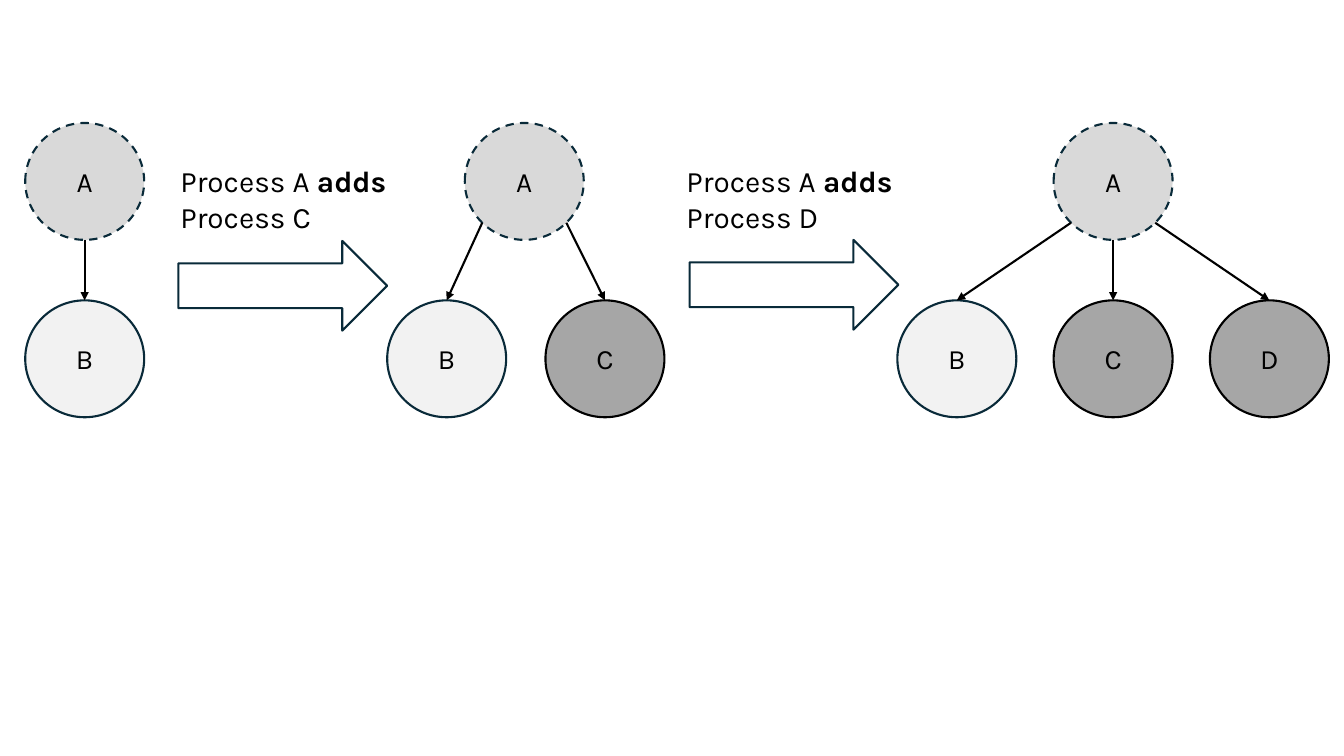
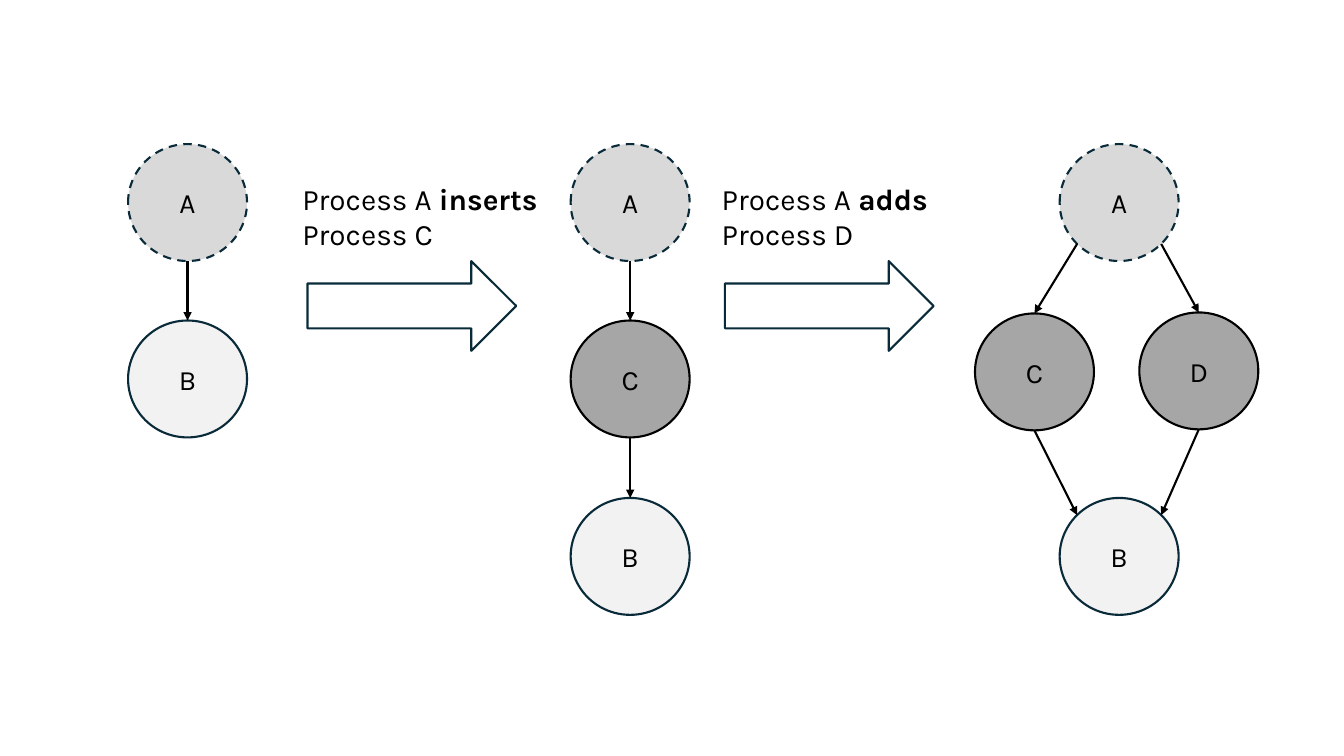
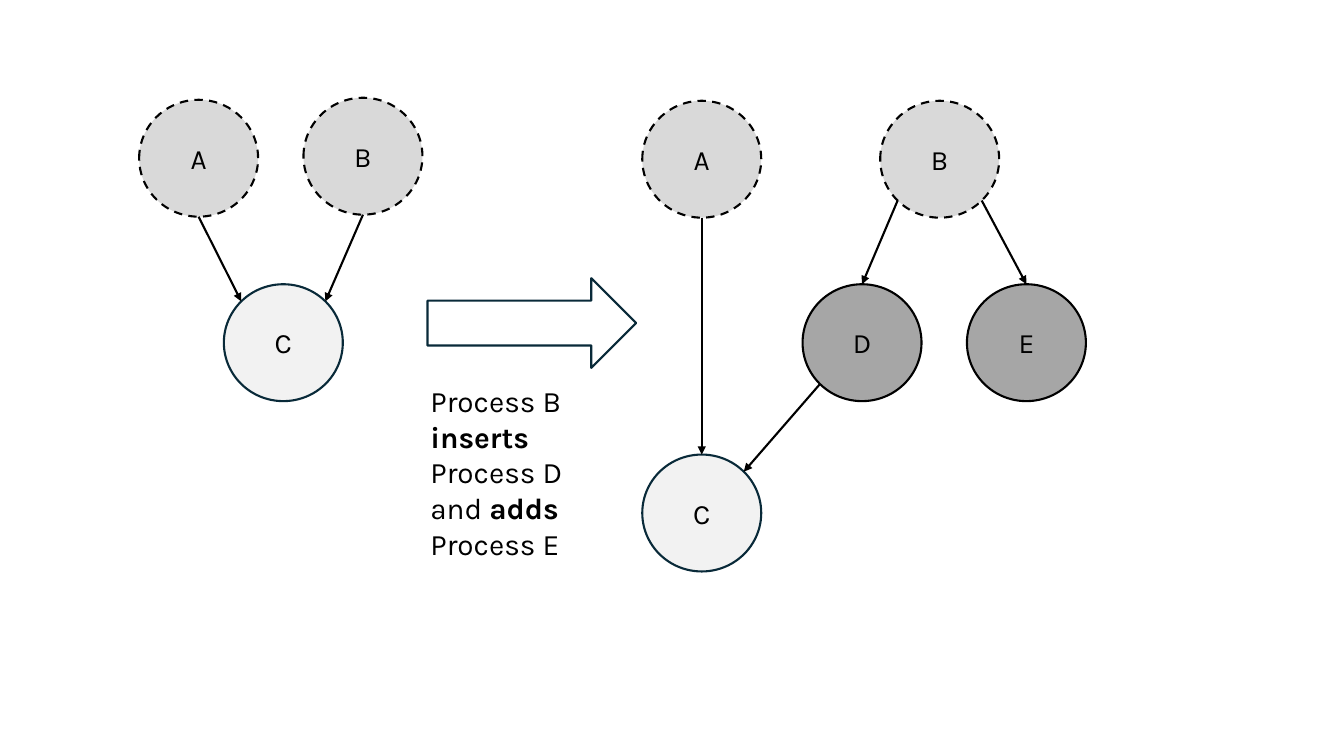
import math

import lxml.etree
import pptx
import pptx.dml.color
import pptx.enum.dml
import pptx.enum.shapes
import pptx.enum.text
import pptx.oxml.ns
import pptx.util

Inches = pptx.util.Inches
Pt = pptx.util.Pt

FONT = "Karla"
BLACK = "000000"
NAVY = "092A39"
CIRCLE_WIDTH, CIRCLE_HEIGHT = 1.18, 1.16
ARROW_WIDTH, ARROW_HEIGHT = 2.07, 0.89
LINE_WIDTH = 1.5

CIRCLE_STYLES = {
    "modifier": ("D9D9D9", NAVY, True),
    "modifier black": ("D9D9D9", BLACK, True),
    "existing": ("F2F2F2", NAVY, False),
    "added": ("A6A6A6", BLACK, False),
}

SITES = ["top", "top left", "left", "bottom left",
         "bottom", "bottom right", "right", "top right"]

SLIDES = [
    {
        "circles": {
            "A1": ("modifier", 0.25, 1.22),
            "B1": ("existing", 0.25, 2.98),
            "A2": ("modifier", 4.61, 1.22),
            "B2": ("existing", 3.84, 2.98),
            "C2": ("added", 5.41, 2.98),
            "A3": ("modifier", 10.45, 1.22),
            "B3": ("existing", 8.9, 2.98),
            "C3": ("added", 10.45, 2.98),
            "D3": ("added", 12, 2.98),
        },
        "links": [
            ("A1", "bottom", "B1", "top"),
            ("A2", "bottom left", "B2", "top"),
            ("A2", "bottom right", "C2", "top"),
            ("A3", "bottom left", "B3", "top"),
            ("A3", "bottom", "C3", "top"),
            ("A3", "bottom right", "D3", "top"),
        ],
        "arrows": [(1.77, 2.39), (6.84, 2.38)],
        "captions": [
            ((1.69, 1.57, 3.21, 0.81), [["Process A ", "*adds"], ["Process C"]]),
            ((6.71, 1.57, 3.21, 0.81), [["Process A ", "*adds"], ["Process D"]]),
        ],
    },
    {
        "circles": {
            "A1": ("modifier", 1.27, 1.43),
            "B1": ("existing", 1.27, 3.18),
            "A2": ("modifier", 5.66, 1.43),
            "C2": ("added", 5.66, 3.18),
            "B2": ("existing", 5.66, 4.94),
            "A3": ("modifier", 10.51, 1.43),
            "C3": ("added", 9.67, 3.11),
            "D3": ("added", 11.3, 3.1),
            "B3": ("existing", 10.51, 4.94),
        },
        "links": [
            ("A1", "bottom", "B1", "top"),
            ("A2", "bottom", "C2", "top"),
            ("C2", "bottom", "B2", "top"),
            ("A3", "bottom left", "C3", "top"),
            ("A3", "bottom right", "D3", "top"),
            ("C3", "bottom", "B3", "top left"),
            ("D3", "bottom", "B3", "top right"),
        ],
        "arrows": [(3.05, 2.59), (7.19, 2.59)],
        "captions": [
            ((2.9, 1.74, 3.21, 0.81), [["Process A ", "*inserts"], ["Process C"]]),
            ((7.06, 1.74, 3.21, 0.81), [["Process A ", "*adds"], ["Process D"]]),
        ],
    },
    {
        "circles": {
            "A1": ("modifier black", 1.38, 0.99),
            "B1": ("modifier black", 3.01, 0.97),
            "C1": ("existing", 2.22, 2.82),
            "A2": ("modifier black", 6.37, 1),
            "B2": ("modifier black", 8.73, 1),
            "D2": ("added", 7.96, 2.82),
            "E2": ("added", 9.59, 2.82),
            "C2": ("existing", 6.37, 4.51),
        },
        "links": [
            ("A1", "bottom", "C1", "top left"),
            ("B1", "bottom", "C1", "top right"),
            ("A2", "bottom", "C2", "top"),
            ("B2", "bottom left", "D2", "top"),
            ("B2", "bottom right", "E2", "top"),
            ("D2", "bottom left", "C2", "top right"),
        ],
        "arrows": [(4.24, 2.76)],
        "captions": [
            ((4.17, 3.75, 2.14, 1.88),
             [["Process B ", "*inserts"], ["Process D"],
              ["and ", "*adds"], ["Process E"]]),
        ],
    },
]


def color(value):
    return pptx.dml.color.RGBColor.from_string(value)


def set_line(line, value):
    line.color.rgb = color(value)
    line.width = Pt(LINE_WIDTH)


def set_font(font, size, bold=False):
    font.name = FONT
    font.size = Pt(size)
    font.bold = bold
    font.color.rgb = color(BLACK)


def add_outlined_shape(slide, kind, left, top, width, height, outline):
    shape = slide.shapes.add_shape(
        kind, Inches(left), Inches(top), Inches(width), Inches(height))
    shape.shadow.inherit = False
    set_line(shape.line, outline)
    return shape


def add_circle(slide, label, style, left, top):
    fill, outline, dashed = CIRCLE_STYLES[style]
    shape = add_outlined_shape(
        slide, pptx.enum.shapes.MSO_SHAPE.OVAL,
        left, top, CIRCLE_WIDTH, CIRCLE_HEIGHT, outline)
    shape.fill.solid()
    shape.fill.fore_color.rgb = color(fill)
    if dashed:
        shape.line.dash_style = pptx.enum.dml.MSO_LINE.DASH
    text_frame = shape.text_frame
    text_frame.text = label
    text_frame.vertical_anchor = pptx.enum.text.MSO_ANCHOR.MIDDLE
    paragraph = text_frame.paragraphs[0]
    paragraph.alignment = pptx.enum.text.PP_ALIGN.CENTER
    set_font(paragraph.runs[0].font, 20)
    return shape


def site_point(circle, site):
    angle = math.radians(90 + 45 * SITES.index(site))
    x = circle.left + circle.width / 2 * (1 + math.cos(angle))
    y = circle.top + circle.height / 2 * (1 - math.sin(angle))
    return round(x), round(y)


def add_link(slide, start, start_site, end, end_site):
    connector = slide.shapes.add_connector(
        pptx.enum.shapes.MSO_CONNECTOR.STRAIGHT,
        *site_point(start, start_site), *site_point(end, end_site))
    set_line(connector.line, BLACK)
    qn = pptx.oxml.ns.qn
    joints = connector.element.find(".//" + qn("p:cNvCxnSpPr"))
    for tag, circle, site in (("a:stCxn", start, start_site),
                              ("a:endCxn", end, end_site)):
        lxml.etree.SubElement(joints, qn(tag), id=str(circle.shape_id),
                              idx=str(SITES.index(site)))
    properties = connector.element.find(qn("p:spPr"))
    lxml.etree.SubElement(properties.find(qn("a:ln")), qn("a:tailEnd"), type="triangle")
    lxml.etree.SubElement(properties, qn("a:effectLst"))


def add_arrow(slide, left, top):
    shape = add_outlined_shape(
        slide, pptx.enum.shapes.MSO_SHAPE.RIGHT_ARROW,
        left, top, ARROW_WIDTH, ARROW_HEIGHT, NAVY)
    shape.fill.background()


def add_caption(slide, box, lines):
    text_frame = slide.shapes.add_textbox(*map(Inches, box)).text_frame
    text_frame.word_wrap = True
    text_frame.auto_size = pptx.enum.text.MSO_AUTO_SIZE.SHAPE_TO_FIT_TEXT
    text_frame.text = "\n".join("" for line in lines)
    for paragraph, line in zip(text_frame.paragraphs, lines):
        for part in line:
            run = paragraph.add_run()
            run.text = part.lstrip("*")
            set_font(run.font, 21.2, part.startswith("*"))


def main():
    presentation = pptx.Presentation()
    presentation.slide_width = Inches(13.33)
    presentation.slide_height = Inches(7.5)
    for content in SLIDES:
        slide = presentation.slides.add_slide(presentation.slide_layouts[6])
        circles = {name: add_circle(slide, name[0], *details)
                   for name, details in content["circles"].items()}
        for start, start_site, end, end_site in content["links"]:
            add_link(slide, circles[start], start_site, circles[end], end_site)
        for position in content["arrows"]:
            add_arrow(slide, *position)
        for box, lines in content["captions"]:
            add_caption(slide, box, lines)
    presentation.save("out.pptx")


if __name__ == "__main__":
    main()
